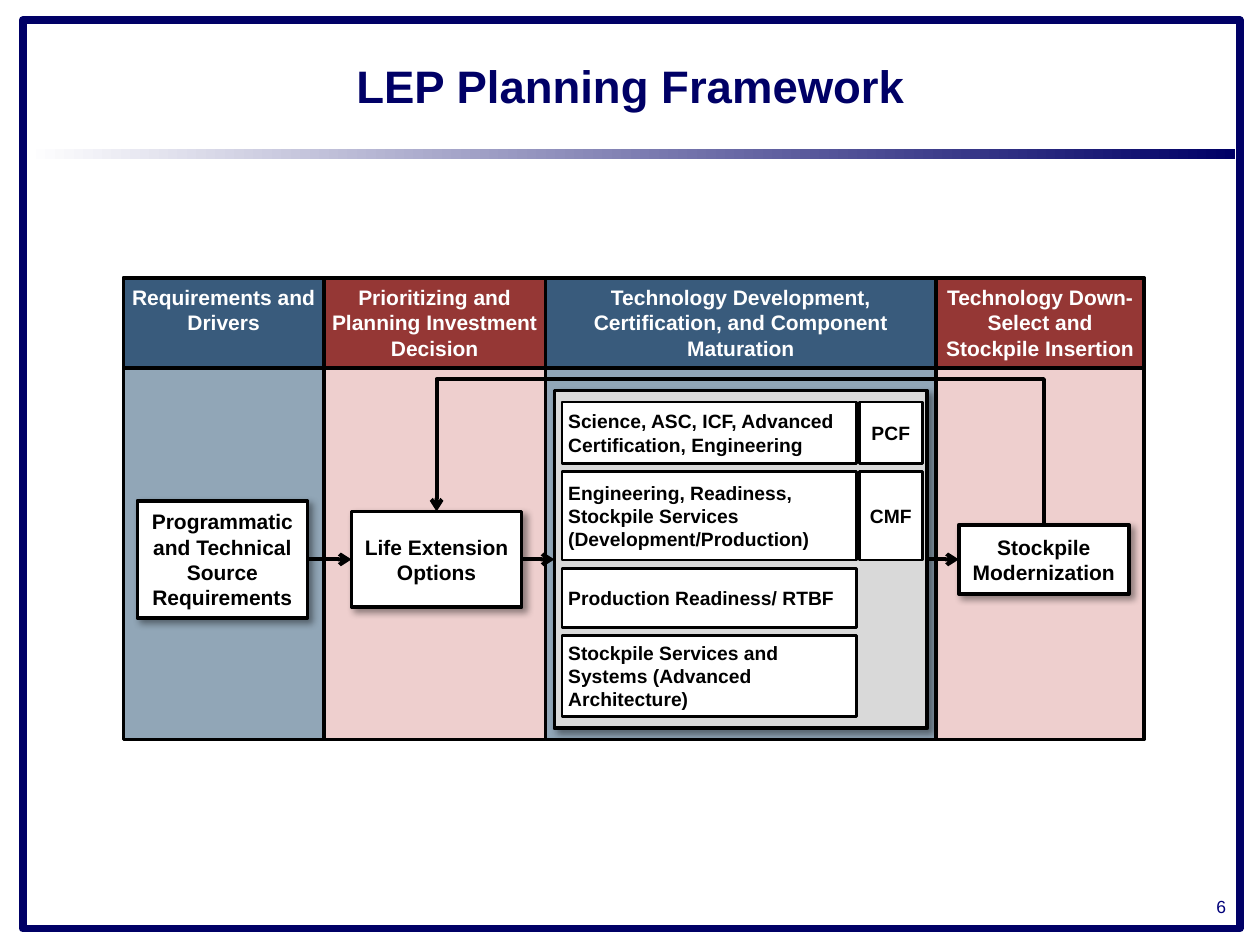
from itertools import pairwise
from lxml.etree import SubElement
from pptx import Presentation
from pptx.dml.color import RGBColor
from pptx.enum.shapes import MSO_CONNECTOR, MSO_SHAPE
from pptx.enum.text import MSO_ANCHOR, PP_ALIGN
from pptx.oxml import parse_xml
from pptx.oxml.ns import nsdecls, qn
from pptx.util import Inches, Pt

COLOURS = {
    "navy": "000066", "number": "00007A", "black": "000000", "white": "FFFFFF",
    "blue": "395B7C", "pale blue": "91A6B7",
    "red": "953735", "pale red": "EECFCE", "grey": "D9D9D9",
}
RGB = {name: RGBColor.from_string(value) for name, value in COLOURS.items()}

deck = Presentation()
deck.slide_width, deck.slide_height = Inches(10), Inches(7.5)
slide = deck.slides.add_slide(deck.slide_layouts[6])
COLUMN, ROW = deck.slide_width / 1000, deck.slide_height / 750


def write(holder, text, size=12, colour="black", bold=True, align=PP_ALIGN.CENTER,
          anchor=MSO_ANCHOR.MIDDLE, inset=None, spacing=None):
    frame = holder.text_frame
    frame.word_wrap = True
    frame.vertical_anchor = anchor
    if inset is not None:
        frame.margin_left = frame.margin_right = Inches(inset)
        frame.margin_top = frame.margin_bottom = Inches(inset)
    line = frame.paragraphs[0]
    line.text = text
    line.alignment = align
    line.line_spacing = spacing
    line.font.name, line.font.size, line.font.bold = "Arial", Pt(size), bold
    line.font.color.rgb = RGB[colour]


def block(left, top, width, height, fill="white", line="black", weight=2.25, shadow=False):
    area = [round(n) for n in (left * COLUMN, top * ROW, width * COLUMN, height * ROW)]
    rect = slide.shapes.add_shape(MSO_SHAPE.RECTANGLE, *area)
    rect.shadow.inherit = False
    if fill:
        rect.fill.solid()
        rect.fill.fore_color.rgb = RGB[fill]
    else:
        rect.fill.background()
    if line:
        rect.line.color.rgb = RGB[line]
        rect.line.width = Pt(weight)
    else:
        rect.line.fill.background()
    if shadow:
        effects = rect._element.spPr.find(qn("a:effectLst"))
        effects.append(parse_xml(
            f'<a:outerShdw {nsdecls("a")} blurRad="{Pt(4)}" dist="{Pt(3)}" dir="2700000" '
            'algn="tl" rotWithShape="0"><a:srgbClr val="000000"><a:alpha val="40000"/>'
            '</a:srgbClr></a:outerShdw>'))
    return rect


rule = block(21, 118, 959, 8, line=None)
rule.fill.gradient()
rule.fill.gradient_angle = 0
for stop, shade in zip(rule.fill.gradient_stops, ("white", "navy")):
    stop.color.rgb = RGB[shade]
block(18, 16, 966, 721, fill=None, line="navy", weight=4.5)

title = slide.shapes.add_textbox(*(round(n) for n in (189 * COLUMN, 21 * ROW, 623 * COLUMN, 100 * ROW)))
write(title, "LEP Planning Framework", size=26, colour="navy", spacing=0.85)
page_number = slide.shapes.add_textbox(*(round(n) for n in (889 * COLUMN, 711 * ROW, 84 * COLUMN, 24 * ROW)))
write(page_number, "6", size=10, colour="number", bold=False, align=PP_ALIGN.RIGHT,
      anchor=MSO_ANCHOR.TOP, inset=0)

phase_edges = [98, 257, 433, 743, 908]
phases = [
    ("Requirements and Drivers", "blue"),
    ("Prioritizing and Planning Investment Decision", "red"),
    ("Technology Development, Certification, and Component Maturation", "blue"),
    ("Technology Down-Select and Stockpile Insertion", "red"),
]
for (left, right), (heading, shade) in zip(pairwise(phase_edges), phases):
    block(left, 221, right - left, 366, fill=f"pale {shade}")
    header = block(left, 221, right - left, 71, fill=shade)
    write(header, heading, colour="white", anchor=MSO_ANCHOR.TOP, inset=0.05)

flow_row = 444
steps = []
for left, width, height, fill, text in [
    (109, 135, 93, "white", "Programmatic and Technical Source Requirements"),
    (279, 135, 76, "white", "Life Extension Options"),
    (440, 296, 268, "grey", None),
    (761, 135, 55, "white", "Stockpile Modernization"),
]:
    step = block(left, flow_row - height / 2, width, height, fill=fill, weight=2, shadow=True)
    if text:
        write(step, text)
    steps.append(step)

programme_top, programme_gap = 319, 6.5
for height, programme, component in [
    (49, "Science, ASC, ICF, Advanced Certification, Engineering", "PCF"),
    (70, "Engineering, Readiness, Stockpile Services (Development/Production)", "CMF"),
    (47, "Production Readiness/ RTBF", None),
    (64, "Stockpile Services and Systems (Advanced Architecture)", None),
]:
    write(block(446, programme_top, 234, height, weight=1.5), programme,
          size=11, align=PP_ALIGN.LEFT, inset=0.05)
    if component:
        write(block(682, programme_top, 50, height, weight=1.5), component, size=11, inset=0.05)
    programme_top += height + programme_gap

options, modernization = steps[1], steps[3]
links = [(MSO_CONNECTOR.STRAIGHT, start, 3, end, 1) for start, end in pairwise(steps)]
links.append((MSO_CONNECTOR.ELBOW, modernization, 0, options, 0))
for kind, start, start_side, end, end_side in links:
    arrow = slide.shapes.add_connector(kind, 0, 0, 0, 0)
    arrow.begin_connect(start, start_side)
    arrow.end_connect(end, end_side)
    arrow.line.color.rgb = RGB["black"]
    arrow.line.width = Pt(2.25)
    SubElement(arrow.line._get_or_add_ln(), qn("a:tailEnd"), type="arrow")
    SubElement(arrow._element.spPr, qn("a:effectLst"))

feedback = arrow
span = modernization.left - options.left
rise = modernization.top - options.top
middle_x = (modernization.left + options.left + options.width) / 2
middle_y = (modernization.top + options.top) / 2
feedback.left, feedback.top = round(middle_x - rise / 2), round(middle_y - span / 2)
feedback.width, feedback.height = rise, span
turn = feedback._element.spPr.find(qn("a:xfrm"))
turn.attrib.pop("flipH", None)
turn.set("rot", "16200000")
turn.set("flipV", "1")
bend = round((modernization.top - 301 * ROW) / rise * 100000)
guides = feedback._element.spPr.find(qn("a:prstGeom")).find(qn("a:avLst"))
SubElement(guides, qn("a:gd"), name="adj1", fmla=f"val {bend}")

deck.save("out.pptx")
